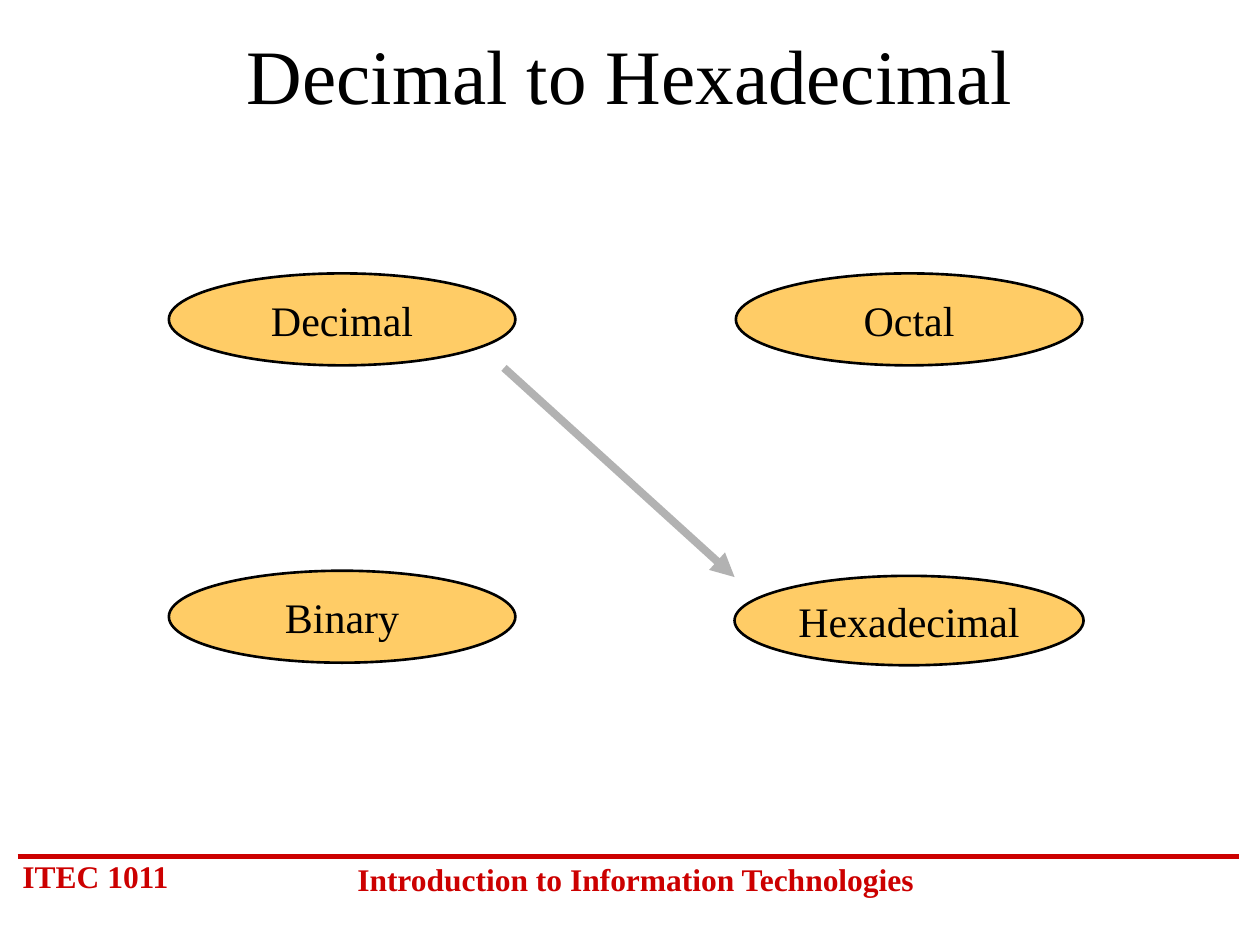
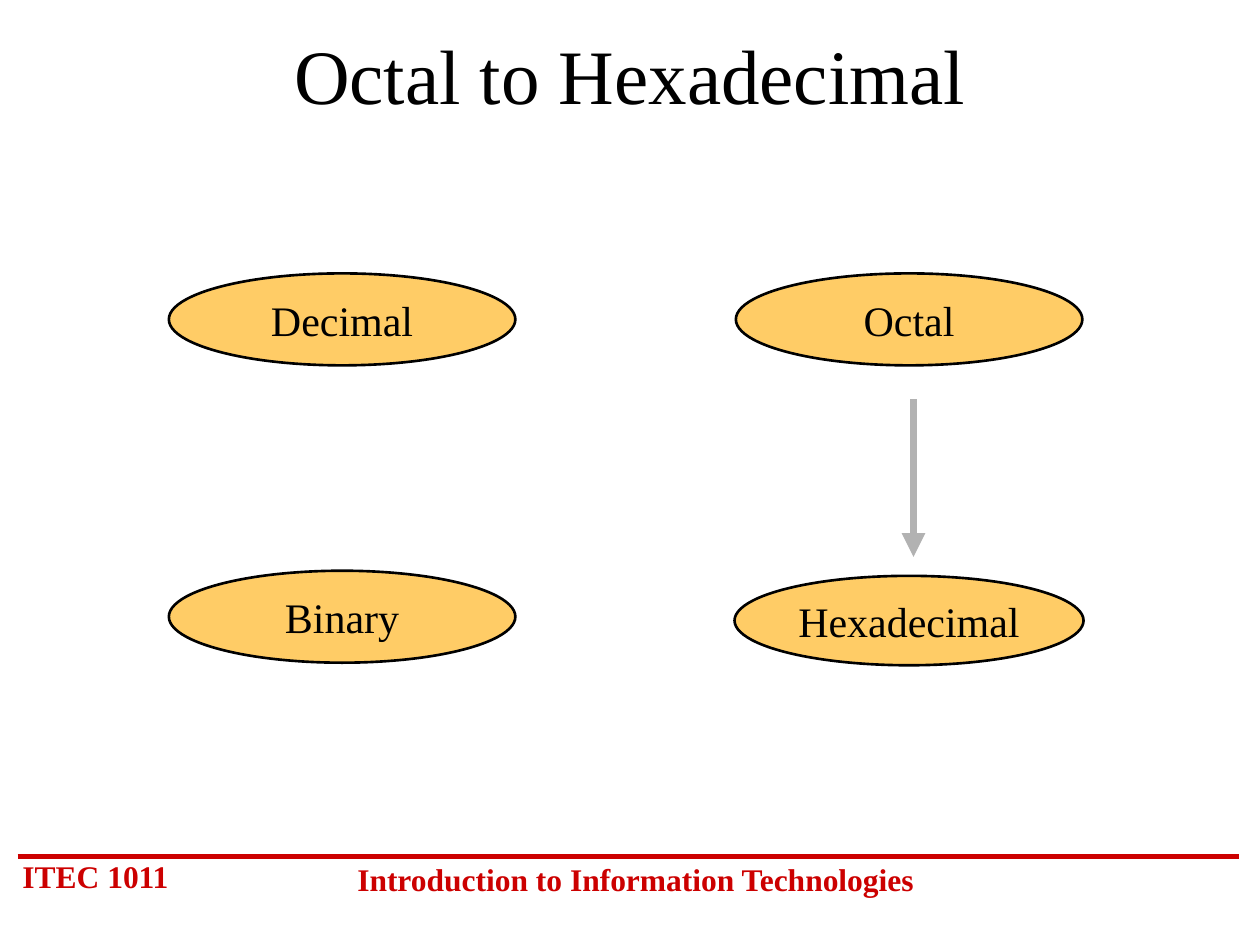
from lxml import etree
from pptx import Presentation
from pptx.dml.color import RGBColor
from pptx.enum import shapes, text
from pptx.oxml.ns import qn
from pptx.util import Inches, Pt

# Content: each slide has a title and one arrow (start, end)
SLIDES = [
    ("Decimal to Hexadecimal", (4, 2.92), (5.83, 4.58)),
    ("Octal to Hexadecimal", (7.25, 3.17), (7.25, 4.42)),
]
NUMBER_SYSTEMS = {  # name: left, top, width, height
    "Hexadecimal": (5.83, 4.57, 2.77, 0.71),
    "Decimal": (1.34, 2.17, 2.75, 0.73),
    "Octal": (5.84, 2.17, 2.75, 0.73),
    "Binary": (1.34, 4.53, 2.75, 0.73),
}
FOOTERS = [
    ("ITEC 1011", (0.08, 6.75, 1.5, 0.4), text.PP_ALIGN.LEFT),
    ("Introduction to Information Technologies", (2.67, 6.78, 4.75, 0.4),
     text.PP_ALIGN.CENTER),
]
FOOTER_RULE = (0.14, 6.8), (9.83, 6.8)

# Shared style
FONT = "Times New Roman"
BLACK, RED, AMBER, GREY = "000000", "CC0000", "FFCC66", "B2B2B2"
MIDDLE = {"vertical_anchor": text.MSO_ANCHOR.MIDDLE}


def color(value):
    return RGBColor.from_string(value)


def inches(values):
    return [Inches(value) for value in values]


def apply(target, formats):
    for name, value in formats.items():
        setattr(target, name, value)


def write(shape, words, size, ink=BLACK, bold=False,
          align=text.PP_ALIGN.CENTER, **frame_formats):
    frame = shape.text_frame
    apply(frame, {"auto_size": text.MSO_AUTO_SIZE.NONE, "word_wrap": True,
                  **frame_formats})
    para = frame.paragraphs[0]
    para.alignment = align
    span = para.add_run()
    span.text = words
    apply(span.font, {"name": FONT, "size": Pt(size), "bold": bold})
    span.font.color.rgb = color(ink)


def add_line(page, start, end, ink, width, arrow=False):
    line = page.shapes.add_connector(shapes.MSO_CONNECTOR.STRAIGHT,
                                     *inches(start + end))
    line.line.color.rgb = color(ink)
    line.line.width = Pt(width)
    if arrow:
        etree.SubElement(line.line._get_or_add_ln(), qn("a:tailEnd"),
                         type="triangle")
    etree.SubElement(line._element.spPr, qn("a:effectLst"))


def add_title(page, words):
    title = page.shapes.title
    box = inches((0.75, 0.17, 8.5, 0.83))
    apply(title, dict(zip(("left", "top", "width", "height"), box)))
    write(title, words, 44, **MIDDLE)


def add_footer(page):
    add_line(page, *FOOTER_RULE, RED, 3)
    for words, place, align in FOOTERS:
        box = page.shapes.add_textbox(*inches(place))
        write(box, words, 18, RED, bold=True, align=align)


def add_ellipse(page, words, place):
    ellipse = page.shapes.add_shape(shapes.MSO_SHAPE.OVAL, *inches(place))
    ellipse.shadow.inherit = False
    ellipse.fill.solid()
    ellipse.fill.fore_color.rgb = color(AMBER)
    ellipse.line.color.rgb = color(BLACK)
    ellipse.line.width = Pt(1.5)
    write(ellipse, words, 24, **{**MIDDLE, "word_wrap": False})


def main():
    deck = Presentation()
    apply(deck, {"slide_width": Inches(10), "slide_height": Inches(7.5)})
    title_only = deck.slide_layouts[5]
    for title, start, end in SLIDES:
        page = deck.slides.add_slide(title_only)
        add_footer(page)
        add_title(page, title)
        for name, place in NUMBER_SYSTEMS.items():
            add_ellipse(page, name, place)
        add_line(page, start, end, GREY, 4.5, arrow=True)
    deck.save("out.pptx")


if __name__ == "__main__":
    main()
